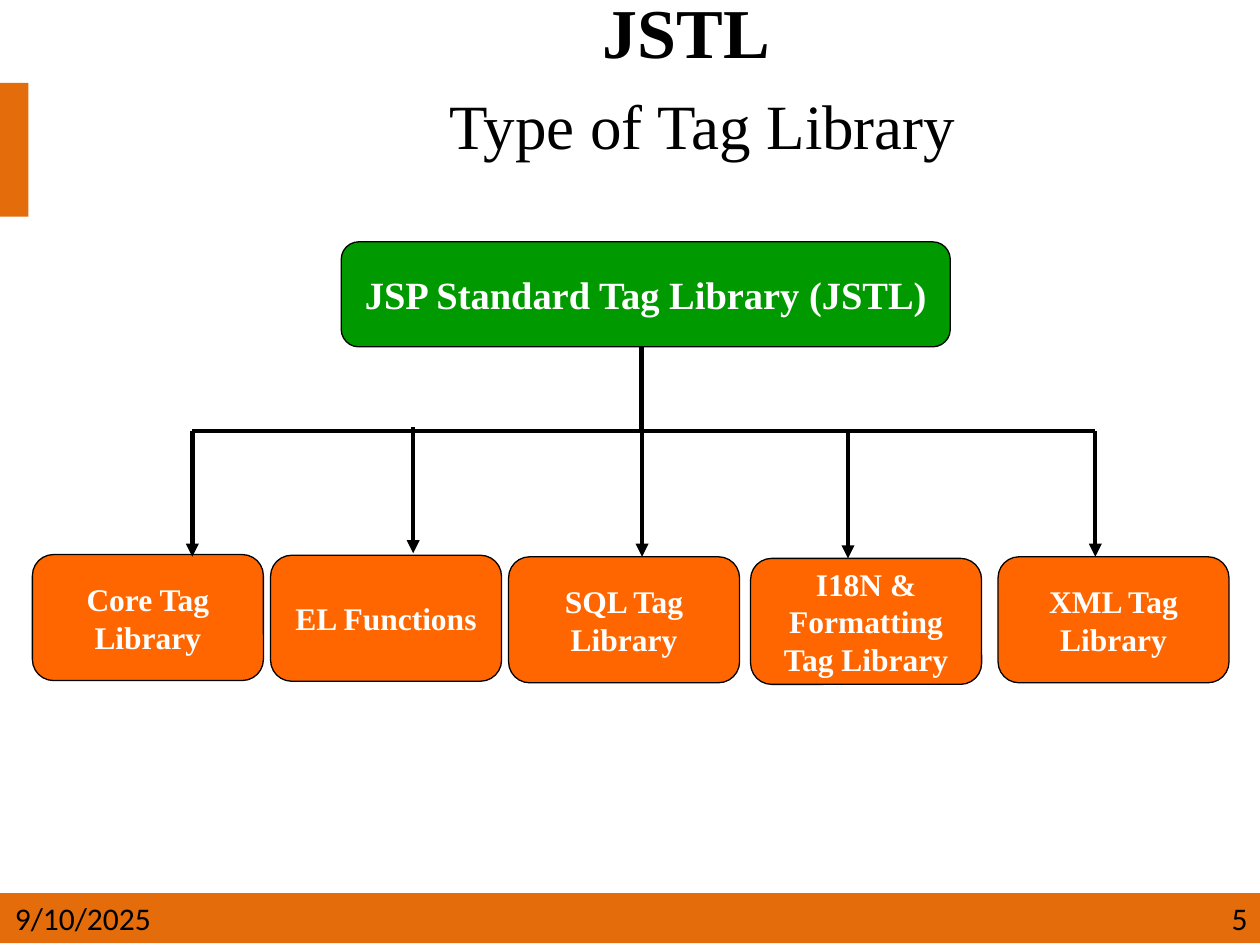
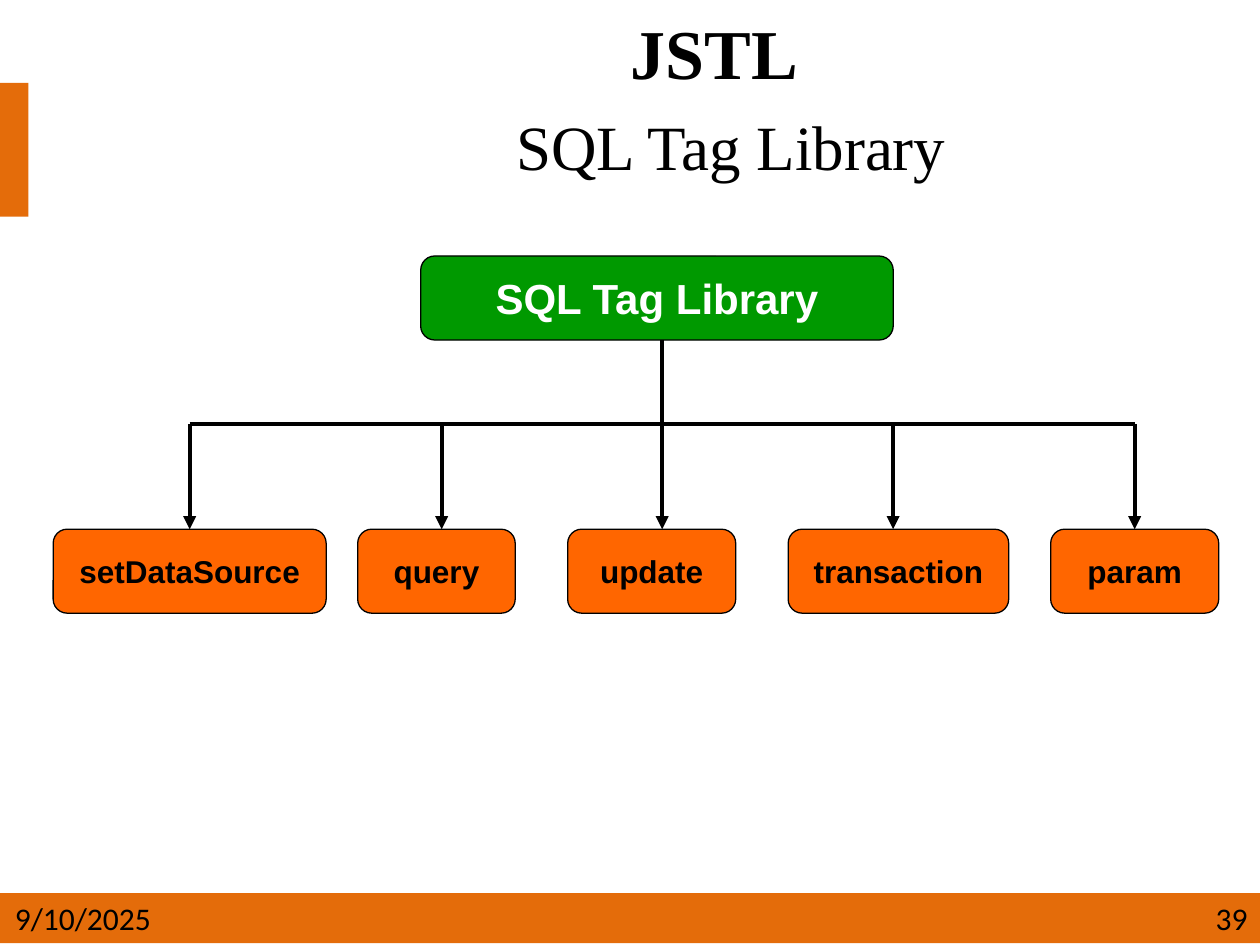
import pptx
import pptx.dml.color
import pptx.enum.shapes
import pptx.enum.text
import pptx.oxml.ns
import pptx.util
from lxml import etree

Pt = pptx.util.Pt
RGBColor = pptx.dml.color.RGBColor
Shapes = pptx.enum.shapes.MSO_SHAPE
Align = pptx.enum.text.PP_ALIGN
Anchor = pptx.enum.text.MSO_ANCHOR

BAND = RGBColor(0xE4, 0x6C, 0x0A)
GREEN = RGBColor(0x00, 0x99, 0x00)
ORANGE = RGBColor(0xFF, 0x66, 0x00)
BLACK = RGBColor(0x00, 0x00, 0x00)
WHITE = RGBColor(0xFF, 0xFF, 0xFF)
SERIF = "Times New Roman"
SANS = "Arial"
FOOTER_FONT = "Calibri"
DATE = "9/10/2025"
FOOTER_TOP, FOOTER_HEIGHT = 510.4, 28.6
TITLE_ONLY = 5


class Deck:
    def __init__(self):
        self.presentation = pptx.Presentation()
        self.presentation.slide_width = Pt(720)
        self.presentation.slide_height = Pt(540)
        self.slide = None

    def add_slide(self, number):
        layout = self.presentation.slide_layouts[TITLE_ONLY]
        self.slide = self.presentation.slides.add_slide(layout)
        self.add_band(0, 47.4, 16.2, 76.4)
        self.add_band(0, FOOTER_TOP, 720, FOOTER_HEIGHT)
        self.add_footer(DATE, 1.4, 109.4, Align.LEFT)
        self.add_footer(number, 504, 216, Align.RIGHT)

    def add_shape(self, kind, box, fill):
        shape = self.slide.shapes.add_shape(kind, *map(Pt, box))
        shape.shadow.inherit = False
        shape.fill.solid()
        shape.fill.fore_color.rgb = fill
        return shape

    def format_paragraph(self, paragraph, font, color, alignment, size, bold=False):
        paragraph.alignment = alignment
        paragraph.font.name = font
        paragraph.font.color.rgb = color
        paragraph.font.size = Pt(size)
        paragraph.font.bold = bold

    def add_band(self, *box):
        self.add_shape(Shapes.RECTANGLE, box, BAND).line.fill.background()

    def add_footer(self, text, left, width, alignment):
        box = map(Pt, (left, FOOTER_TOP, width, FOOTER_HEIGHT))
        frame = self.slide.shapes.add_textbox(*box).text_frame
        frame.word_wrap = True
        frame.text = text
        self.format_paragraph(frame.paragraphs[0], FOOTER_FONT, BLACK, alignment, 18)

    def add_title(self, subtitle, left, height):
        title = self.slide.shapes.title
        title.left, title.top = Pt(left), Pt(0)
        title.width, title.height = Pt(720 - left), Pt(height)
        frame = title.text_frame
        frame.auto_size = pptx.enum.text.MSO_AUTO_SIZE.NONE
        frame.vertical_anchor = Anchor.MIDDLE
        paragraph = frame.paragraphs[0]
        self.format_paragraph(paragraph, SERIF, BLACK, Align.CENTER, 40, True)
        for text, size, bold in (("JSTL ", 40, True), (" ", 44, True), (subtitle, 36, False)):
            run = paragraph.add_run()
            run.text = text
            run.font.size = Pt(size)
            run.font.bold = bold
            if text == "JSTL ":
                paragraph.add_line_break()

    def add_node(self, text, box, fill, font, size, color):
        node = self.add_shape(Shapes.ROUNDED_RECTANGLE, box, fill)
        node.adjustments[0] = 0.167
        node.line.color.rgb = BLACK
        node.line.width = Pt(0.75)
        frame = node.text_frame
        frame.word_wrap = True
        frame.vertical_anchor = Anchor.MIDDLE
        frame.text = text
        self.format_paragraph(frame.paragraphs[0], font, color, Align.CENTER, size, True)
        return node

    def add_line(self, start_x, start_y, end_x, end_y, arrow=False):
        line = self.slide.shapes.add_connector(
            pptx.enum.shapes.MSO_CONNECTOR.STRAIGHT,
            Pt(start_x), Pt(start_y), Pt(end_x), Pt(end_y))
        line.line.color.rgb = BLACK
        line.line.width = Pt(2.5)
        if arrow:
            outline = line.line._get_or_add_ln()
            etree.SubElement(outline, pptx.oxml.ns.qn("a:tailEnd"), type="triangle")
        etree.SubElement(line._element.spPr, pptx.oxml.ns.qn("a:effectLst"))
        return line

    def add_tree(self, root, root_box, root_size, children, child_height,
                 stem_x, bus_y, arrow_length, font, child_color):
        self.add_node(root, root_box, GREEN, font, root_size, WHITE)
        self.add_line(stem_x, root_box[1] + root_box[3], stem_x, bus_y)
        self.add_line(children[0][4], bus_y, children[-1][4], bus_y)
        for text, left, top, width, arrow_x, arrow_end in children:
            box = (left, top, width, child_height)
            node = self.add_node(text, box, ORANGE, font, 18, child_color)
            arrow = self.add_line(arrow_x, arrow_end - arrow_length, arrow_x, arrow_end, True)
            if abs(left + width / 2 - arrow_x) < 0.5:
                arrow.end_connect(node, 0)


def main():
    deck = Deck()

    deck.add_slide("5")
    deck.add_title("Type of Tag Library", 72, 87.1)
    libraries = [
        ("Core Tag Library", 18.5, 316.9, 132, 109.9, 318.2),
        ("EL Functions", 154.6, 317.3, 132, 236.1, 316.1),
        ("SQL Tag Library", 290.6, 318.2, 132, 366.9, 318.2),
        ("I18N & Formatting Tag Library", 428.9, 319.1, 132, 484.6, 319.1),
        ("XML Tag Library", 570.3, 318.2, 132, 625.9, 318.2),
    ]
    deck.add_tree("JSP Standard Tag Library (JSTL)", (195, 138.2, 348, 60), 22,
                  libraries, 72, 366.6, 246.2, 72, SERIF, WHITE)

    deck.add_slide("39")
    deck.add_title("SQL Tag Library", 104.4, 111.6)
    tag_top = 302.4
    tags = [
        (text, left, tag_top, width, arrow_x, tag_top)
        for text, left, width, arrow_x in (
            ("setDataSource", 30.4, 156, 108.4),
            ("query", 204.4, 90, 252.4),
            ("update", 324.4, 96, 378.4),
            ("transaction", 450.4, 126, 510.4),
            ("param", 600.4, 96, 648.4),
        )
    ]
    deck.add_tree("SQL Tag Library", (240.4, 146.3, 270, 48), 24,
                  tags, 48, 378.4, 242.4, 60, SANS, BLACK)

    deck.presentation.save("out.pptx")


if __name__ == "__main__":
    main()
